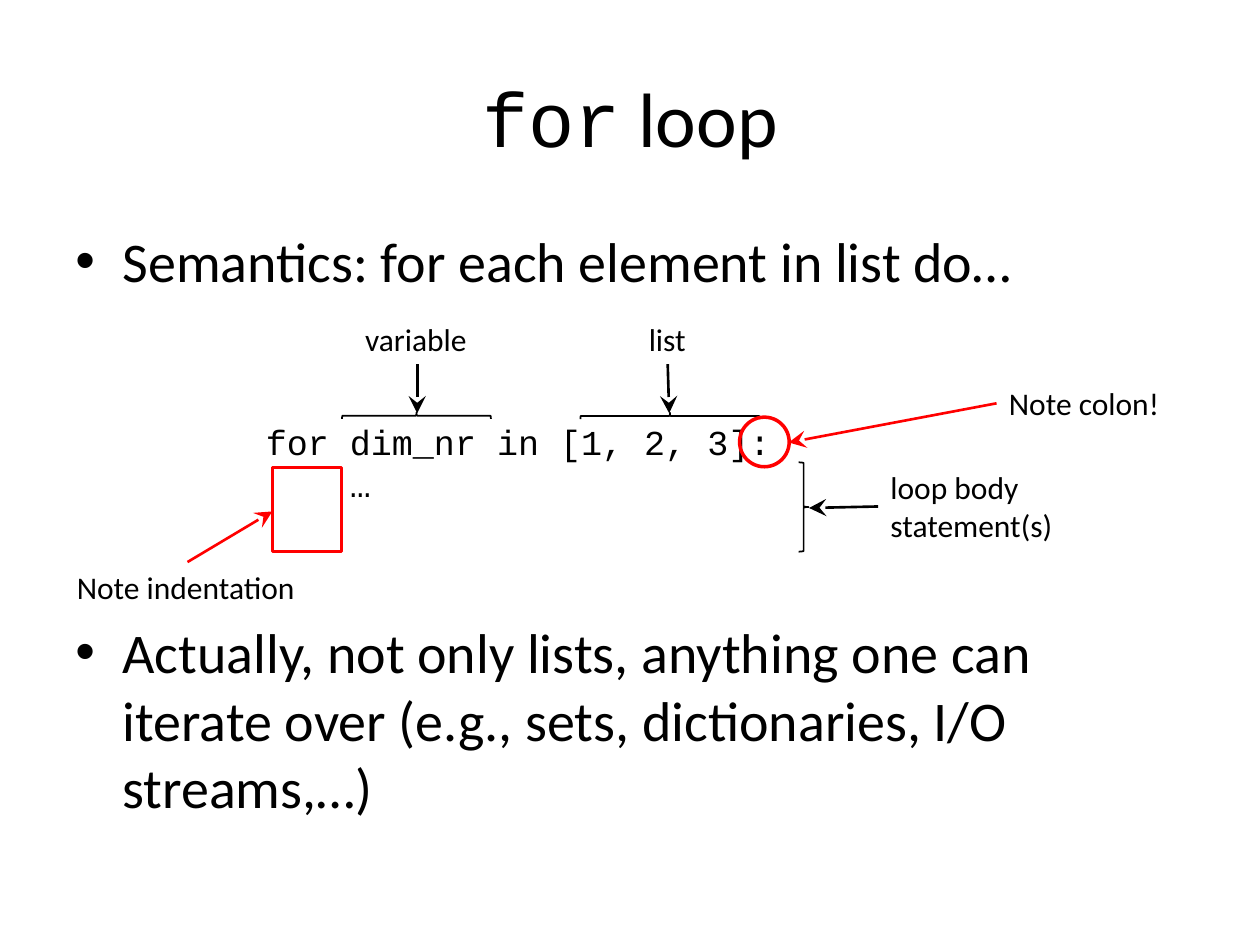
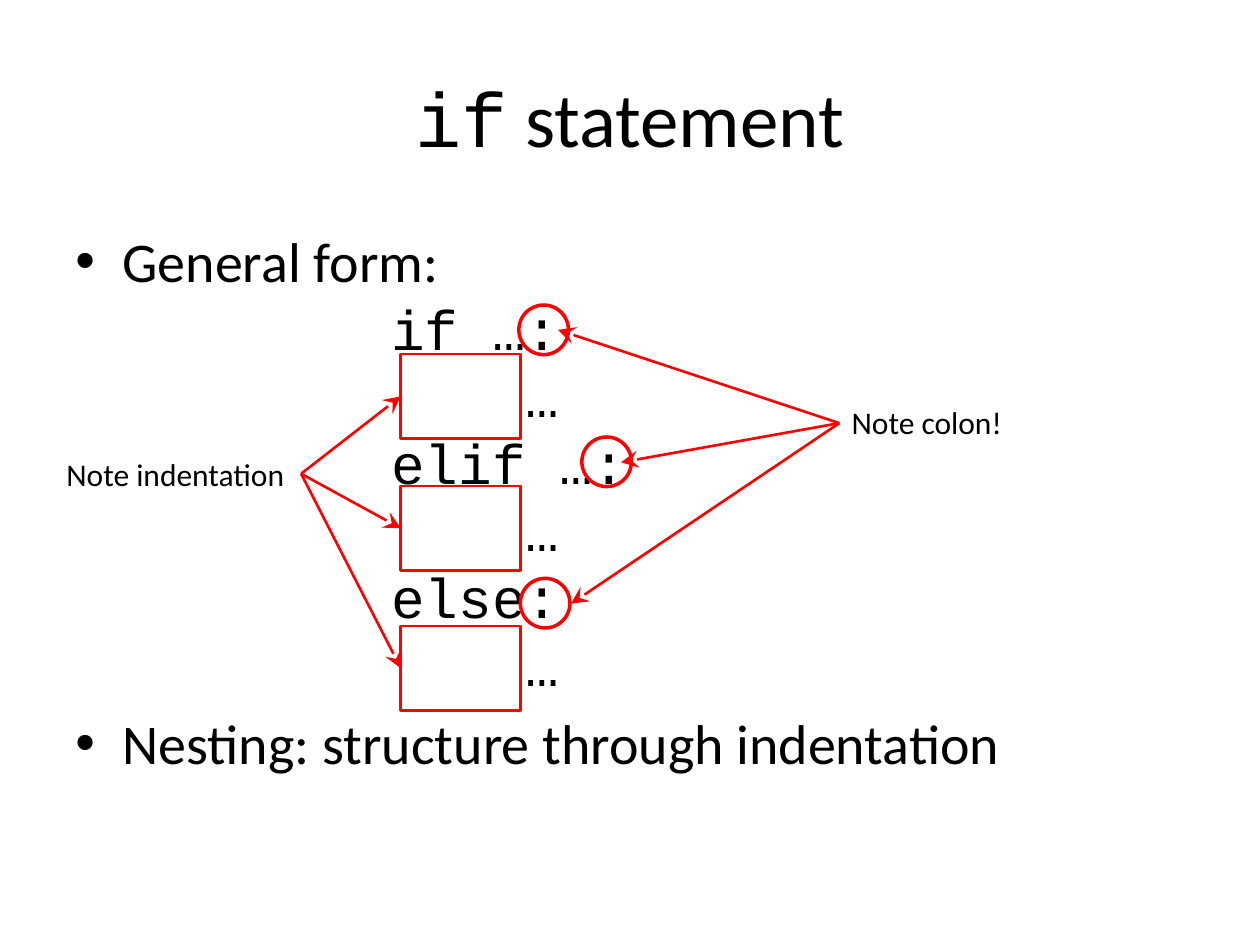
from lxml import etree
from pptx import Presentation
from pptx.dml.color import RGBColor
from pptx.enum.shapes import MSO_CONNECTOR, MSO_SHAPE as SHAPE
from pptx.enum.text import MSO_ANCHOR as ANCHOR, PP_ALIGN as ALIGN
from pptx.oxml.ns import qn
from pptx.util import Cm, Pt

BLACK = RGBColor(0x00, 0x00, 0x00)
RED = RGBColor(0xFF, 0x00, 0x00)
BODY, MONO = "Calibri", "Courier New"
CIRCLE = 1.0             # diameter around a colon
INDENT_H = 1.7           # height of an indentation frame
CODE_MARGIN = Cm(6.37)   # left edge of code inside the body


def add_text(s, box, paragraphs, wrap=False):
    """Add a text box; each paragraph is a list of (text, font, size) runs."""
    tf = s.shapes.add_textbox(*[Cm(v) for v in box]).text_frame
    tf.word_wrap = wrap
    for i, runs in enumerate(paragraphs):
        p = tf.add_paragraph() if i else tf.paragraphs[0]
        for text, font, size in runs:
            r = p.add_run()
            r.text = text
            r.font.name, r.font.size = font, Pt(size)
            r.font.color.rgb = BLACK
    return tf


def set_indent(p, margin, bullet=None):
    """Set the left margin, with a hanging bullet if one is given."""
    pPr = p._p.get_or_add_pPr()
    pPr.set("marL", str(margin))
    pPr.set("indent", str(-margin if bullet else 0))
    if bullet:
        etree.SubElement(pPr, qn("a:buFont")).set("typeface", "Arial")
        etree.SubElement(pPr, qn("a:buChar")).set("char", bullet)


prs = Presentation()
prs.slide_width, prs.slide_height = Cm(25.4), Cm(19.05)

# Content: body rows are (text, is code, space before in points)
for_loop = dict(
    title=("for", " loop"),
    body=[("Semantics: for each element in list do…", False, 0),
          ("Actually, not only lists, anything one can iterate over "
           "(e.g., sets, dictionaries, I/O streams,…)", False, 185)],
    labels=[(7.11, 6.32, 2.59, "variable"),
            (12.83, 6.32, 1.27, "list"),
            (17.7, 9.32, 3.81, "loop body\nstatement(s)"),
            (20.09, 7.62, 3.58, "Note colon!"),
            (1.3, 11.33, 4.95, "Note indentation")],
    braces=[(8.33, 6.88, 0.13, 3.0, 90),
            (13.44, 6.58, 0.13, 3.61, 90),
            (16.1, 9.32, 0.2, 1.8, 180)],
    colons=[(14.91, 8.41)],
    indents=[(5.49, 9.42, 1.4)],
    arrows=[(8.41, 7.34, 8.41, 8.33, BLACK),
            (13.46, 7.34, 13.49, 8.33, BLACK),
            (17.7, 10.21, 16.31, 10.24, BLACK),
            (20.09, 8.13, 15.9, 8.92, RED),
            (3.78, 11.33, 5.49, 10.31, RED)],
)

indent_tops = (7.14, 9.8, 12.62)
colon_tips = ((11.25, 6.65), (12.52, 9.32), (11.51, 12.17))
if_code = ["if …:", "    …", "elif …:", "    …", "else:", "    …"]
if_statement = dict(
    title=("if", " statement"),
    body=[("General form:", False, 0),
          *[(line, True, 0) for line in if_code],
          ("Nesting: structure through indentation", False, 6.4)],
    labels=[(1.09, 9.04, 4.95, "Note indentation"),
            (16.92, 8.0, 3.58, "Note colon!")],
    braces=[],
    colons=[(10.46, 6.15), (11.73, 8.81), (10.49, 11.66)],
    indents=[(8.08, y, 2.41) for y in indent_tops],
    arrows=[*[(6.07, 9.55, 8.08, y + INDENT_H / 2, RED) for y in indent_tops],
            *[(16.92, 8.53, x, y, RED) for x, y in colon_tips]],
)

for content in (for_loop, if_statement):
    s = prs.slides.add_slide(prs.slide_layouts[6])

    # Title: keyword in monospace, the rest in the body font
    keyword, rest = content["title"]
    tf = add_text(s, (1.27, 0.76, 22.86, 3.18),
                  [[(keyword, MONO, 44), (rest, BODY, 44)]], wrap=True)
    tf.vertical_anchor = ANCHOR.MIDDLE
    tf.paragraphs[0].alignment = ALIGN.CENTER

    # Body: bullets and code lines
    rows = content["body"]
    tf = add_text(s, (1.27, 4.45, 22.86, 12.57),
                  [[(text, MONO if code else BODY, 32)]
                   for text, code, _ in rows], wrap=True)
    for p, (_, code, before) in zip(tf.paragraphs, rows):
        if before:
            p.space_before = Pt(before)
        if code:
            set_indent(p, CODE_MARGIN)
        else:
            set_indent(p, Cm(0.95), "•")

    # Code example with its own box
    if content is for_loop:
        add_text(s, (5.11, 8.36, 10.77, 1.96),
                 [[("for dim_nr in [1, 2, 3]:", MONO, 20)],
                  [("    …", MONO, 20)]])

    # Braces, colon circles and indentation frames
    outlines = [(SHAPE.LEFT_BRACE, *brace, BLACK, 1)
                for brace in content["braces"]]
    outlines += [(SHAPE.OVAL, x, y, CIRCLE, CIRCLE, 0, RED, 2)
                 for x, y in content["colons"]]
    outlines += [(SHAPE.RECTANGLE, x, y, w, INDENT_H, 0, RED, 1.5)
                 for x, y, w in content["indents"]]
    for kind, x, y, w, h, turn, color, weight in outlines:
        sp = s.shapes.add_shape(kind, Cm(x), Cm(y), Cm(w), Cm(h))
        sp.rotation = turn
        sp.shadow.inherit = False
        sp.fill.background()
        sp.line.color.rgb = color
        sp.line.width = Pt(weight)

    # Arrows
    for x1, y1, x2, y2, color in content["arrows"]:
        arrow = s.shapes.add_connector(MSO_CONNECTOR.STRAIGHT,
                                       Cm(x1), Cm(y1), Cm(x2), Cm(y2))
        arrow.line.color.rgb = color
        arrow.line.width = Pt(1.5)
        tail = etree.SubElement(arrow.line._get_or_add_ln(), qn("a:tailEnd"))
        tail.set("type", "stealth")
        tail.set("w", "lg")
        tail.set("len", "lg")
        etree.SubElement(arrow._element.spPr, qn("a:effectLst"))

    # Labels
    for x, y, w, text in content["labels"]:
        lines = text.split("\n")
        add_text(s, (x, y, w, 0.24 + 0.78 * len(lines)),
                 [[(line, BODY, 18)] for line in lines])

prs.save("out.pptx")
